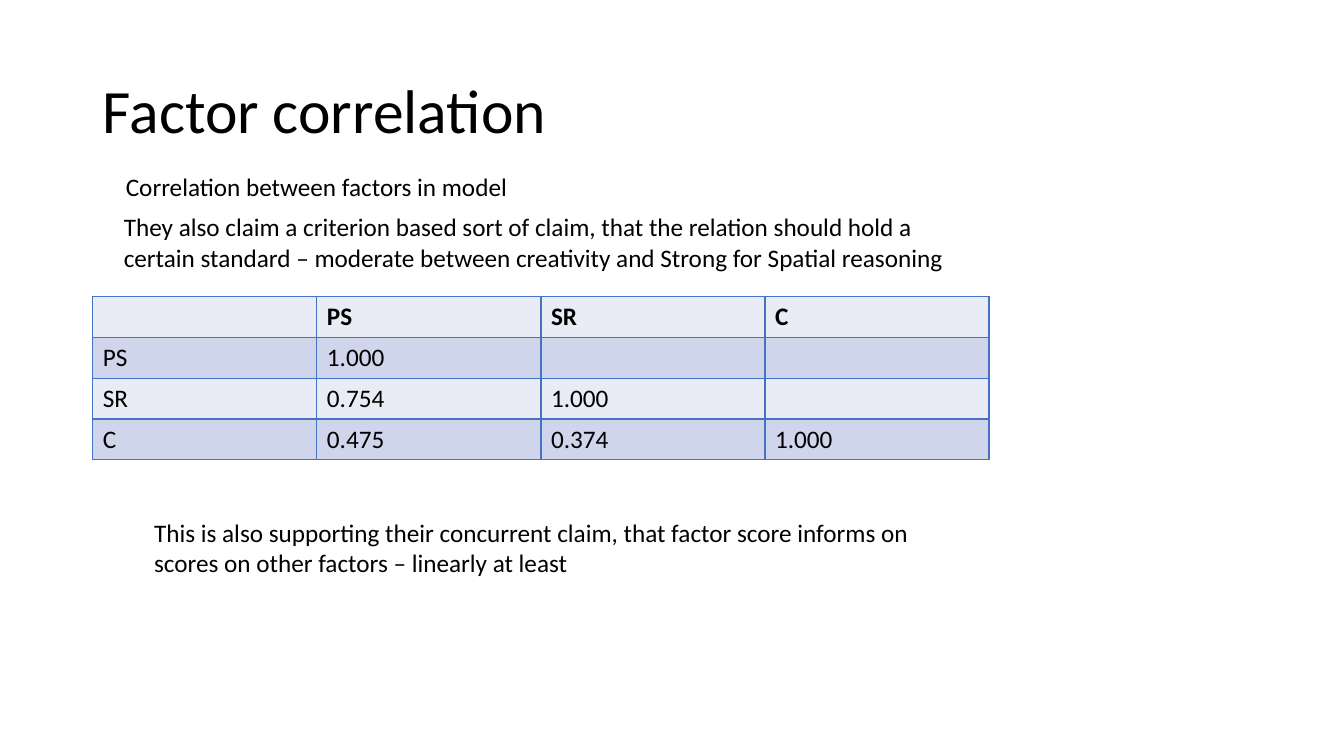
from lxml import etree
from pptx import Presentation
from pptx import util as u
from pptx.dml.color import RGBColor
from pptx.enum import text
from pptx.oxml import ns

BLACK = RGBColor(0x00, 0x00, 0x00)
BORDER = RGBColor(0x44, 0x72, 0xC4)
BANDS = (RGBColor(0xE9, 0xEB, 0xF5), RGBColor(0xCF, 0xD5, 0xEA))

CORRELATIONS = (
    ("", "PS", "SR", "C"),
    ("PS", "1.000", "", ""),
    ("SR", "0.754", "1.000", ""),
    ("C", "0.475", "0.374", "1.000"),
)
NOTES = (
    ((115, 165, 447, 40), "Correlation between factors in model"),
    ((113, 205, 846, 71),
     "They also claim a criterion based sort of claim, that the relation should hold a "
     "certain standard – moderate between creativity and Strong for Spatial reasoning"),
    ((143, 508, 816, 71),
     "This is also supporting their concurrent claim, that factor score informs on "
     "scores on other factors – linearly at least"),
)


def px(length):
    """Turn px, a hundred to the inch, into EMU."""
    return u.Emu(length * 9144)


class FactorSlide:
    """Holds the text style and the current slide."""

    font = "Calibri"
    body_size = 18
    title_size = 44

    def __init__(self, slide):
        self.slide = slide

    def add_words(self, paragraph, words, size, bold=False):
        run = paragraph.add_run()
        run.text = words
        run.font.name = self.font
        run.font.size = u.Pt(size)
        run.font.bold = bold
        run.font.color.rgb = BLACK

    def title(self, box, words):
        heading = self.slide.shapes.title
        heading.left, heading.top, heading.width, heading.height = map(px, box)
        frame = heading.text_frame
        frame.auto_size = text.MSO_AUTO_SIZE.NONE
        frame.vertical_anchor = text.MSO_ANCHOR.MIDDLE
        paragraph = frame.paragraphs[0]
        paragraph.alignment = text.PP_ALIGN.LEFT
        paragraph.line_spacing = 0.9
        self.add_words(paragraph, words, self.title_size)

    def note(self, box, words):
        frame = self.slide.shapes.add_textbox(*map(px, box)).text_frame
        frame.word_wrap = True
        frame.auto_size = text.MSO_AUTO_SIZE.SHAPE_TO_FIT_TEXT
        self.add_words(frame.paragraphs[0], words, self.body_size)

    def border(self, cell):
        properties = cell._tc.get_or_add_tcPr()
        for side in ("a:lnL", "a:lnR", "a:lnT", "a:lnB"):
            line = etree.SubElement(properties, ns.qn(side), w=str(u.Pt(1)))
            fill = etree.SubElement(line, ns.qn("a:solidFill"))
            etree.SubElement(fill, ns.qn("a:srgbClr"), val=str(BORDER))

    def table(self, box, rows):
        grid = self.slide.shapes.add_table(len(rows), len(rows[0]), *map(px, box)).table
        for r, row in enumerate(rows):
            for c, words in enumerate(row):
                cell = grid.cell(r, c)
                self.border(cell)
                cell.fill.solid()
                cell.fill.fore_color.rgb = BANDS[r % 2]
                if words:
                    self.add_words(cell.text_frame.paragraphs[0], words, self.body_size, bold=r == 0)


def main():
    deck = Presentation()
    deck.slide_width, deck.slide_height = px(1333), px(750)
    factors = FactorSlide(deck.slides.add_slide(deck.slide_layouts[5]))
    factors.title((92, 40, 1150, 145), "Factor correlation")
    factors.table((92, 294, 889, 162), CORRELATIONS)
    for box, words in NOTES:
        factors.note(box, words)
    deck.save("out.pptx")


if __name__ == "__main__":
    main()
